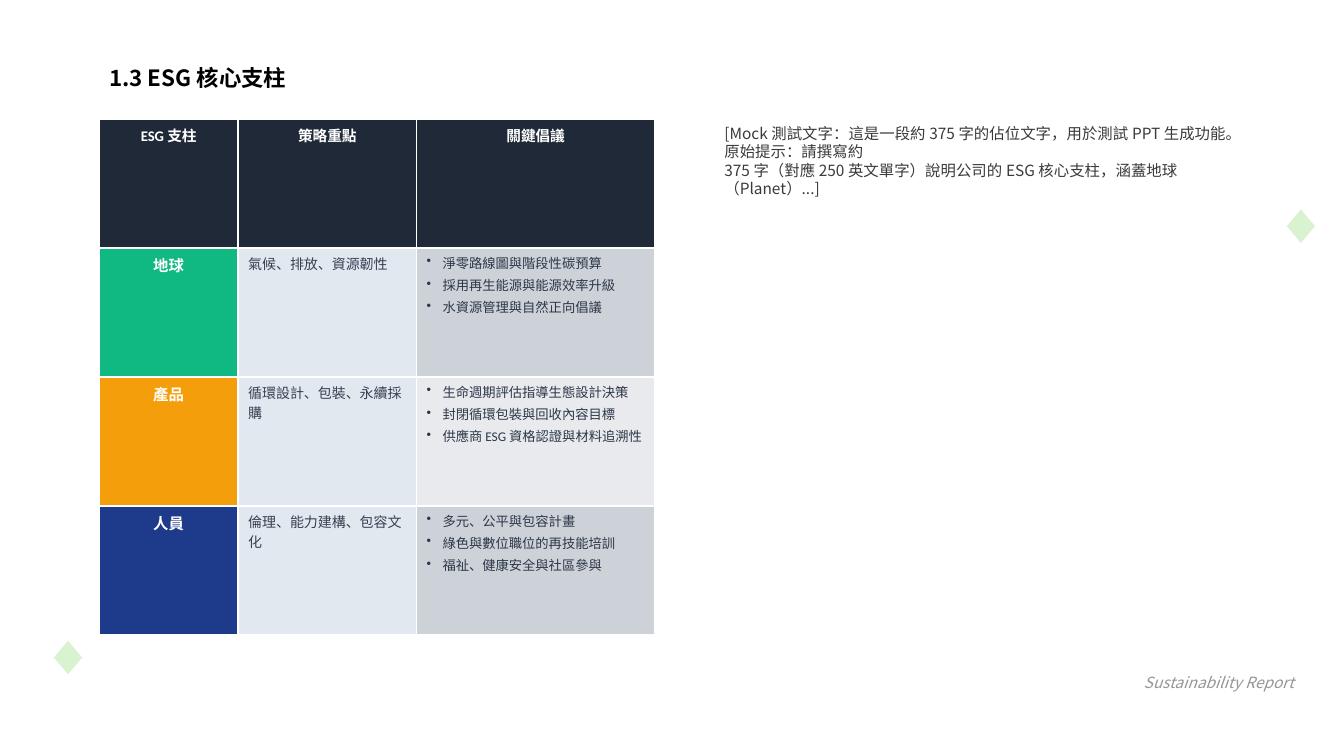
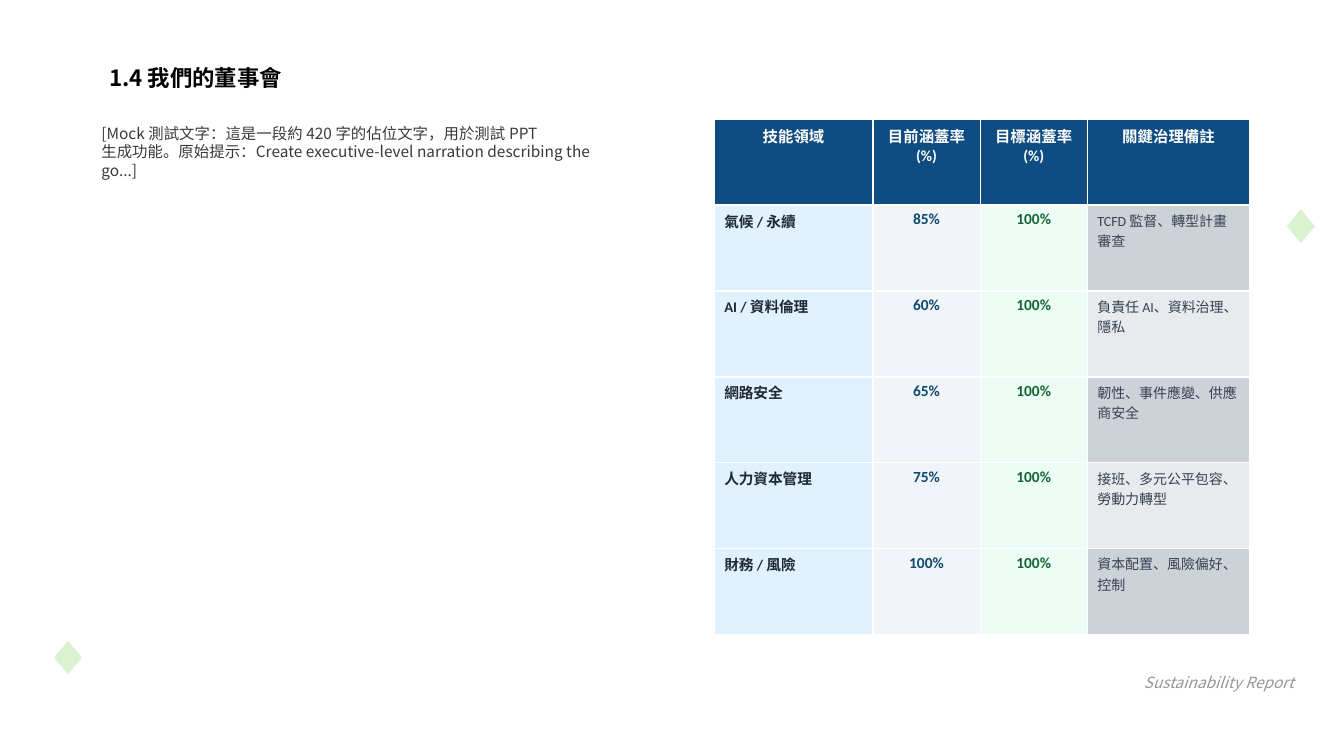
from lxml.etree import SubElement
from pptx import Presentation
from pptx.dml.color import RGBColor
from pptx.enum.shapes import MSO_SHAPE
from pptx.enum.text import MSO_ANCHOR, MSO_AUTO_SIZE, PP_ALIGN
from pptx.oxml.ns import qn
from pptx.util import Cm, Pt

WHITE = RGBColor(0xFF, 0xFF, 0xFF)
BLACK = RGBColor(0x00, 0x00, 0x00)
PALE_GREEN = RGBColor(0xD9, 0xF2, 0xD0)
BODY_GRAY = RGBColor(0x3A, 0x3A, 0x3A)
FOOTER_GRAY = RGBColor(0x96, 0x96, 0x96)
CELL_GRAY = RGBColor(0x37, 0x41, 0x51)
LIST_GRAY = RGBColor(0x2D, 0x37, 0x48)
CHARCOAL = RGBColor(0x1F, 0x29, 0x37)
EMERALD = RGBColor(0x10, 0xB9, 0x81)
AMBER = RGBColor(0xF5, 0x9E, 0x0B)
INDIGO = RGBColor(0x1E, 0x3A, 0x8A)
SLATE = RGBColor(0xE2, 0xE8, 0xF0)
BANDS = (RGBColor(0xCC, 0xD2, 0xD8), RGBColor(0xE8, 0xEA, 0xED))
NAVY = RGBColor(0x0F, 0x4C, 0x81)
SKY = RGBColor(0xE0, 0xF2, 0xFF)
MIST = RGBColor(0xF1, 0xF5, 0xF9)
MINT = RGBColor(0xEC, 0xFD, 0xF5)
DEEP_BLUE = RGBColor(0x0C, 0x4A, 0x6E)
DEEP_GREEN = RGBColor(0x16, 0x65, 0x34)

TEXT_FONT = "Noto Sans CJK TC"
TABLE_FONT = "Calibri"
TABLE_TOP = 3
TABLE_HEIGHT = 13

PILLARS = [
    ("地球", EMERALD, "氣候、排放、資源韌性",
     ["淨零路線圖與階段性碳預算", "採用再生能源與能源效率升級", "水資源管理與自然正向倡議"]),
    ("產品", AMBER, "循環設計、包裝、永續採購",
     ["生命週期評估指導生態設計決策", "封閉循環包裝與回收內容目標", "供應商 ESG 資格認證與材料追溯性"]),
    ("人員", INDIGO, "倫理、能力建構、包容文化",
     ["多元、公平與包容計畫", "綠色與數位職位的再技能培訓", "福祉、健康安全與社區參與"]),
]
SKILLS = [
    ("氣候 / 永續", "85%", "100%", "TCFD 監督、轉型計畫審查"),
    ("AI / 資料倫理", "60%", "100%", "負責任 AI、資料治理、隱私"),
    ("網路安全", "65%", "100%", "韌性、事件應變、供應商安全"),
    ("人力資本管理", "75%", "100%", "接班、多元公平包容、勞動力轉型"),
    ("財務 / 風險", "100%", "100%", "資本配置、風險偏好、控制"),
]


class Report:
    """Holds the report style and the slide being built."""

    def __init__(self):
        """Open a widescreen deck."""
        self.deck = Presentation()
        self.deck.slide_width = Cm(33.87)
        self.deck.slide_height = Cm(19.05)
        self.layout = self.deck.slide_layouts[1]
        self.slide = None

    def start_slide(self, title, body, body_left):
        """Add a slide with its title, body text and footer."""
        first = self.slide is None
        self.slide = self.deck.slides.add_slide(self.layout)
        if first:
            self.decorate_layout()
        self.fill_box(self.slide.shapes.title, (2.5, 1.5, 20, 2.54), [title], 16, BLACK, bold=True)
        self.fill_box(self.slide.placeholders[1], (body_left, 3, 13.5, 15), body, 11, BODY_GRAY)
        footer = self.slide.shapes.add_textbox(0, 0, 0, 0)
        self.fill_box(footer, (26.87, 16.83, 6, 1.2), ["Sustainability Report"], 11, FOOTER_GRAY,
                      align=PP_ALIGN.RIGHT, italic=True)

    def decorate_layout(self):
        """Put the arc and the diamonds on the shared layout."""
        arc = self.add_ornament(MSO_SHAPE.ARC, (27.69, -8.59, 10.16, 12.62), PALE_GREEN, 46.25)
        arc.rotation = 151.3
        for index, degrees in enumerate((152.05, 215.37)):
            arc.adjustments[index] = degrees * 0.6
        arc.fill.background()
        color = arc.line.fill._xPr.find(".//" + qn("a:srgbClr"))
        SubElement(color, qn("a:alpha"), val="60000")
        for left, top in ((32.39, 5.23), (1.32, 16.1)):
            diamond = self.add_ornament(MSO_SHAPE.DIAMOND, (left, top, 0.79, 0.94), WHITE, 1.5)
            diamond.fill.solid()
            diamond.fill.fore_color.rgb = PALE_GREEN

    def add_ornament(self, kind, place, line_color, line_width):
        """Draw an outlined shape and move it to the layout."""
        shape = self.slide.shapes.add_shape(kind, *map(Cm, place))
        shape.shadow.inherit = False
        shape.line.color.rgb = line_color
        shape.line.width = Pt(line_width)
        self.layout.shapes.element.append(shape.element)
        return shape

    def fill_box(self, box, place, lines, size, color, align=PP_ALIGN.LEFT, bold=False, italic=False):
        """Place a box and write plain paragraphs in it."""
        box.left, box.top, box.width, box.height = map(Cm, place)
        frame = box.text_frame
        frame.text = "\n".join(lines)
        frame.word_wrap = True
        frame.auto_size = MSO_AUTO_SIZE.NONE
        frame.vertical_anchor = MSO_ANCHOR.TOP
        for para in frame.paragraphs:
            self.set_bullet(para, None)
            para.space_before = Pt(0)
            para.line_spacing = Pt(size * 1.2)
            self.style(para, TEXT_FONT, size, color, align, bold, italic)

    def set_bullet(self, para, symbol):
        """Give a paragraph a hanging bullet, or none."""
        properties = para._p.get_or_add_pPr()
        indent = Cm(0.4) if symbol else 0
        properties.set("marL", str(indent))
        properties.set("indent", str(-indent))
        if symbol:
            SubElement(properties, qn("a:buChar"), char=symbol)
        else:
            SubElement(properties, qn("a:buNone"))

    def style(self, para, font, size, color, align, bold=False, italic=False):
        """Format a paragraph and its runs."""
        para.alignment = align
        for span in para.runs:
            span.font.name = font
            span.font.size = Pt(size)
            span.font.color.rgb = color
            span.font.bold = bold
            span.font.italic = italic

    def add_table(self, left, widths, headers, header_fill, header_size, row_count):
        """Add a table with a header row and equal row heights."""
        rows = row_count + 1
        table = self.slide.shapes.add_table(rows, len(widths), Cm(left), Cm(TABLE_TOP),
                                            Cm(sum(widths)), Cm(TABLE_HEIGHT)).table
        for column, width in zip(table.columns, widths):
            column.width = Cm(width)
        for row in table.rows:
            row.height = Cm(TABLE_HEIGHT / rows)
        for index, header in enumerate(headers):
            self.fill_cell(table.cell(0, index), [header], header_fill, header_size, WHITE,
                           PP_ALIGN.CENTER, True)
        return table

    def fill_cell(self, cell, lines, fill, size, color, align=PP_ALIGN.LEFT, bold=False,
                  bullet=None, after=2):
        """Write and colour one table cell."""
        cell.fill.solid()
        cell.fill.fore_color.rgb = fill
        cell.text_frame.text = "\n".join(lines)
        for para in cell.text_frame.paragraphs:
            if bullet:
                self.set_bullet(para, bullet)
            para.space_after = Pt(after)
            self.style(para, TABLE_FONT, size, color, align, bold)


def build_pillars(report):
    """Build the slide on the three pillars."""
    report.start_slide("1.3 ESG 核心支柱", [
        "[Mock 測試文字：這是一段約 375 字的佔位文字，用於測試 PPT 生成功能。原始提示：請撰寫約",
        "375 字（對應 250 英文單字）說明公司的 ESG 核心支柱，涵蓋地球（Planet）...]"], 18)
    table = report.add_table(2.5, (3.5, 4.5, 6), ("ESG 支柱", "策略重點", "關鍵倡議"),
                             CHARCOAL, 10.5, len(PILLARS))
    for row, (name, fill, focus, actions) in enumerate(PILLARS, 1):
        report.fill_cell(table.cell(row, 0), [name], fill, 11, WHITE, PP_ALIGN.CENTER, True)
        report.fill_cell(table.cell(row, 1), [focus], SLATE, 10, CELL_GRAY)
        report.fill_cell(table.cell(row, 2), actions, BANDS[(row - 1) % 2], 9.5, LIST_GRAY, bullet="•")


def build_board(report):
    """Build the slide on the skills of the board."""
    report.start_slide("1.4 我們的董事會", [
        "[Mock 測試文字：這是一段約 420 字的佔位文字，用於測試 PPT",
        "生成功能。原始提示：Create executive-level narration describing the go...]"], 2.3)
    table = report.add_table(18, (4, 2.7, 2.7, 4.1),
                             ("技能領域", "目前涵蓋率 (%)", "目標涵蓋率 (%)", "關鍵治理備註"),
                             NAVY, 11, len(SKILLS))
    for row, (skill, current, target, note) in enumerate(SKILLS, 1):
        report.fill_cell(table.cell(row, 0), [skill], SKY, 10.5, CHARCOAL, bold=True)
        report.fill_cell(table.cell(row, 1), [current], MIST, 11, DEEP_BLUE, PP_ALIGN.CENTER, True, after=0)
        report.fill_cell(table.cell(row, 2), [target], MINT, 11, DEEP_GREEN, PP_ALIGN.CENTER, True, after=0)
        report.fill_cell(table.cell(row, 3), [note], BANDS[(row - 1) % 2], 10, CELL_GRAY)


def main():
    """Build and save the deck."""
    report = Report()
    build_pillars(report)
    build_board(report)
    report.deck.save("out.pptx")


if __name__ == "__main__":
    main()
